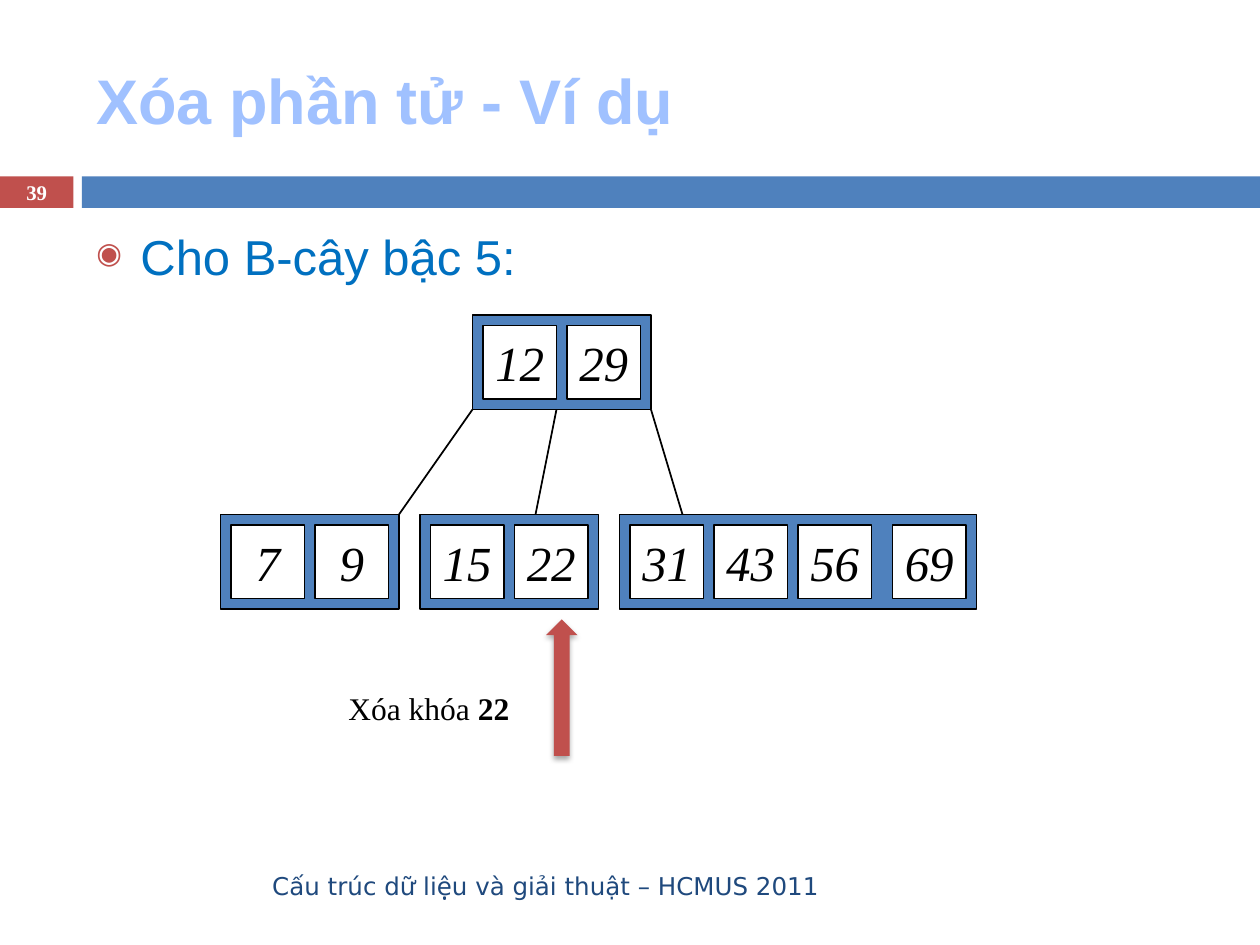
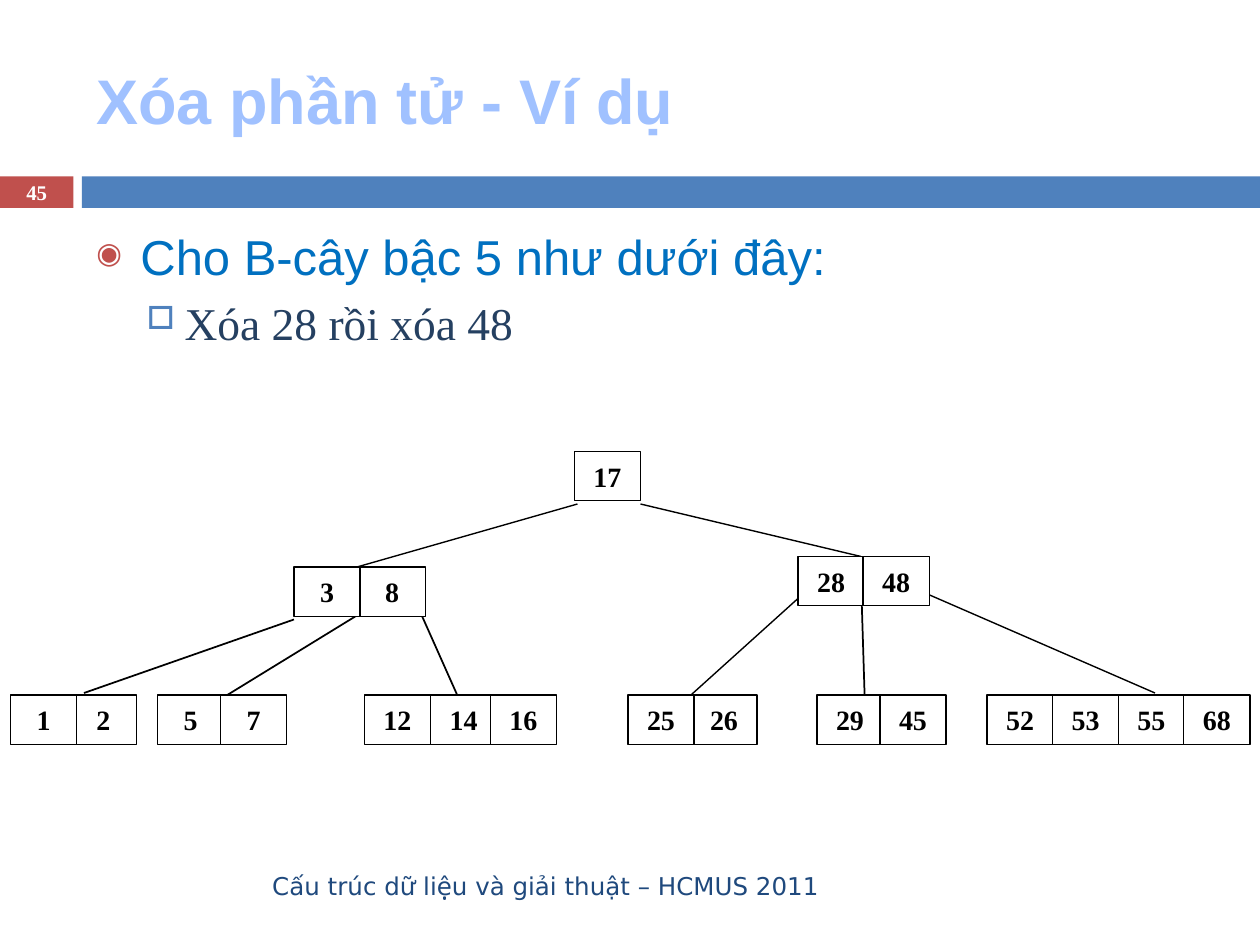
"""Builds two slides on deleting keys from a B-tree of order 5."""
from dataclasses import dataclass

from lxml.etree import SubElement
from pptx import Presentation
from pptx.dml.color import RGBColor
from pptx.enum.shapes import MSO_CONNECTOR, MSO_SHAPE
from pptx.enum.text import MSO_ANCHOR as Anchor, PP_ALIGN as Align
from pptx.oxml.ns import qn
from pptx.util import Emu, Inches, Pt

COLUMNS, ROWS = 120, 90
UNIT = Inches(10) // COLUMNS


@dataclass(frozen=True)
class TextStyle:
    """Font, size, colour and weight of a piece of text."""
    font: str
    size: float
    color: str
    bold: bool = False
    italic: bool = False


@dataclass(frozen=True)
class Bullet:
    """Bullet sign with its colour, relative size, indents and space before."""
    sign: str
    color: str
    percent: int
    margin: float
    hanging: float
    space_before: float


class Theme:
    """Colours, type styles and line widths shared by the slides."""
    BLUE, RED, BLACK, WHITE = "4F81BD", "C0504D", "000000", "FFFFFF"
    SERIF = "Times New Roman"
    TITLE = TextStyle("Arial", 36, "A0C1FF", bold=True)
    FOOTER = TextStyle("DejaVu Sans", 14, "1F497D")
    NUMBER = TextStyle(SERIF, 11.9, WHITE, bold=True)
    BODY = (TextStyle("Arial", 28, "0070C0"), TextStyle(SERIF, 26, "254061"))
    BULLETS = (Bullet("◉", RED, 60, 0.35, 0.35, 0),
               Bullet("□", BLUE, 70, 0.7, 0.3, 5.5))
    BIG_KEY = TextStyle(SERIF, 28, BLACK, italic=True)
    SMALL_KEY = TextStyle(SERIF, 16, BLACK, bold=True)
    NOTE = TextStyle(SERIF, 18, BLACK)
    NOTE_KEY = TextStyle(SERIF, 18, BLACK, bold=True)
    LINE, THIN, HAIR = 1, 0.79, 0.75


def grid(*cells):
    """Turn grid columns and rows into slide lengths."""
    return [Emu(round(cell * UNIT)) for cell in cells]


def style_run(run, style):
    """Apply a text style to a run."""
    font = run.font
    font.name, font.size = style.font, Pt(style.size)
    font.bold, font.italic = style.bold, style.italic
    font.color.rgb = RGBColor.from_string(style.color)


def write(frame, text, style, align=Align.LEFT, anchor=Anchor.MIDDLE, wrap=True):
    """Fill a text frame with one styled paragraph."""
    frame.text = text
    frame.word_wrap, frame.vertical_anchor = wrap, anchor
    frame.paragraphs[0].alignment = align
    style_run(frame.paragraphs[0].runs[0], style)


def add_text(slide, area, text, style, **layout):
    """Add a text box and return its frame."""
    frame = slide.shapes.add_textbox(*grid(*area)).text_frame
    write(frame, text, style, **layout)
    return frame


def add_block(slide, area, fill, line=None, preset=MSO_SHAPE.RECTANGLE):
    """Add a flat filled shape, outlined in black when a width is given."""
    block = slide.shapes.add_shape(preset, *grid(*area))
    block.shadow.inherit = False
    block.fill.solid()
    block.fill.fore_color.rgb = RGBColor.from_string(fill)
    if line:
        block.line.color.rgb = RGBColor.from_string(Theme.BLACK)
        block.line.width = Pt(line)
    else:
        block.line.fill.background()
    return block


def add_key(slide, area, key, style, line):
    """Add a white cell holding one key."""
    cell = add_block(slide, area, Theme.WHITE, line)
    write(cell.text_frame, str(key), style, align=Align.CENTER, wrap=False)


def add_edges(slide, edges, width):
    """Draw tree edges, each given by the grid points it joins."""
    for start, end in edges:
        edge = slide.shapes.add_connector(
            MSO_CONNECTOR.STRAIGHT, *grid(*start, *end))
        edge.line.color.rgb = RGBColor.from_string(Theme.BLACK)
        edge.line.width = Pt(width)
        SubElement(edge._element.spPr, qn("a:effectLst"))


def add_bullet(paragraph, bullet):
    """Give a paragraph its bullet, indents and space before."""
    props = paragraph._p.get_or_add_pPr()
    props.set("marL", str(Inches(bullet.margin)))
    props.set("indent", str(-Inches(bullet.hanging)))
    SubElement(SubElement(props, qn("a:buClr")), qn("a:srgbClr"), val=bullet.color)
    SubElement(props, qn("a:buSzPct"), val=str(bullet.percent * 1000))
    SubElement(props, qn("a:buChar"), char=bullet.sign)
    paragraph.space_before = Pt(bullet.space_before)


def add_body(slide, *lines):
    """Add the bulleted lines, one level deeper each."""
    frame = slide.shapes.add_textbox(*grid(8, 21, 107, 59)).text_frame
    frame.word_wrap = True
    frame.text = "\n".join(lines)
    for paragraph, style, bullet in zip(frame.paragraphs, Theme.BODY, Theme.BULLETS):
        add_bullet(paragraph, bullet)
        style_run(paragraph.runs[0], style)


def add_base(deck, number):
    """Add a slide with bands, title, footer and slide number."""
    slide = deck.slides.add_slide(deck.slide_layouts[6])
    add_block(slide, (0, 16.8, 7, 3), Theme.RED)
    add_block(slide, (7.8, 16.8, 112.2, 3), Theme.BLUE)
    add_text(slide, (8, 3, 107, 13), "Xóa phần tử - Ví dụ", Theme.TITLE)
    add_text(slide, (8, 82, 71.2, 4.8), "Cấu trúc dữ liệu và giải thuật – HCMUS 2011",
             Theme.FOOTER, align=Align.RIGHT)
    add_text(slide, (0, 16.7, 7, 3.2), str(number), Theme.NUMBER, align=Align.CENTER)
    return slide


def add_framed_node(slide, left, top, keys, width=17, last_shift=0):
    """Add a blue node frame with its keys side by side."""
    add_block(slide, (left, top, width, 9), Theme.BLUE, Theme.LINE)
    for place, key in enumerate(keys):
        shift = last_shift if place == len(keys) - 1 else 0
        add_key(slide, (left + 1 + 8 * place + shift, top + 1, 7, 7), key,
                Theme.BIG_KEY, Theme.LINE)


def add_key_row(slide, top, lefts):
    """Add small key cells in one row at the given columns, in paint order."""
    for key, left in lefts.items():
        add_key(slide, (left, top, 6.3, 4.7), key, Theme.SMALL_KEY, Theme.HAIR)


def add_delete_arrow(slide):
    """Add the shadowed arrow that points up at the key to delete."""
    arrow = add_block(slide, (47, 64, 13, 3), Theme.RED, preset=MSO_SHAPE.LEFT_ARROW)
    arrow.rotation = 90
    effects = arrow._element.spPr.find(qn("a:effectLst"))
    shadow = SubElement(effects, qn("a:outerShdw"), blurRad=str(Pt(3)),
                        dist=str(Pt(2)), dir="5400000", rotWithShape="0")
    tint = SubElement(shadow, qn("a:srgbClr"), val=Theme.BLACK)
    SubElement(tint, qn("a:alpha"), val="35000")


def build_two_level_tree(deck):
    """Slide 39: a two-level tree from which key 22 is deleted."""
    slide = add_base(deck, 39)
    add_body(slide, "Cho B-cây bậc 5:")
    add_framed_node(slide, 45, 30, (12, 29))
    add_framed_node(slide, 21, 49, (7, 9))
    add_framed_node(slide, 40, 49, (15, 22))
    add_framed_node(slide, 59, 49, (31, 43, 56, 69), width=34, last_shift=1)
    add_edges(slide, [((45, 39), (38, 49)), ((53, 39), (51, 49)),
                      ((62, 39), (65, 49))], Theme.LINE)
    note = add_text(slide, (32, 65, 64, 4.8), "Xóa khóa ", Theme.NOTE, anchor=Anchor.TOP)
    deleted_key = note.paragraphs[0].add_run()
    deleted_key.text = "22"
    style_run(deleted_key, Theme.NOTE_KEY)
    add_delete_arrow(slide)


def build_three_level_tree(deck):
    """Slide 45: a three-level tree from which 28 and 48 are deleted."""
    slide = add_base(deck, 45)
    add_body(slide, "Cho B-cây bậc 5 như dưới đây:", "Xóa 28 rồi xóa 48")
    add_edges(slide, [((35, 58), (18.7, 68)), ((39, 56), (44.8, 69)),
                      ((82, 55), (82.4, 68)), ((28, 59), (8, 66))], Theme.LINE)
    add_edges(slide, [((87, 56), (110, 66)), ((76, 57), (65.8, 66.2)),
                      ((55, 48), (34, 54)), ((61, 48), (82, 53))], Theme.THIN)
    add_key_row(slide, 43, {17: 54.7})
    add_key_row(slide, 54, {8: 34.2, 3: 28})
    add_key_row(slide, 53, {28: 76, 48: 82.2})
    last_leaf = {key: 94 + 6.25 * place for place, key in enumerate((52, 53, 55, 68))}
    add_key_row(slide, 66.2, {
        2: 6.7, 1: 1, 5: 15, 7: 21, 12: 34.7, 14: 41, 16: 46.7,
        26: 65.8, 25: 59.8, 29: 77.8, 45: 83.8, **last_leaf})


def main():
    """Build the deck and save it."""
    deck = Presentation()
    deck.slide_width, deck.slide_height = grid(COLUMNS, ROWS)
    build_two_level_tree(deck)
    build_three_level_tree(deck)
    deck.save("out.pptx")


if __name__ == "__main__":
    main()
